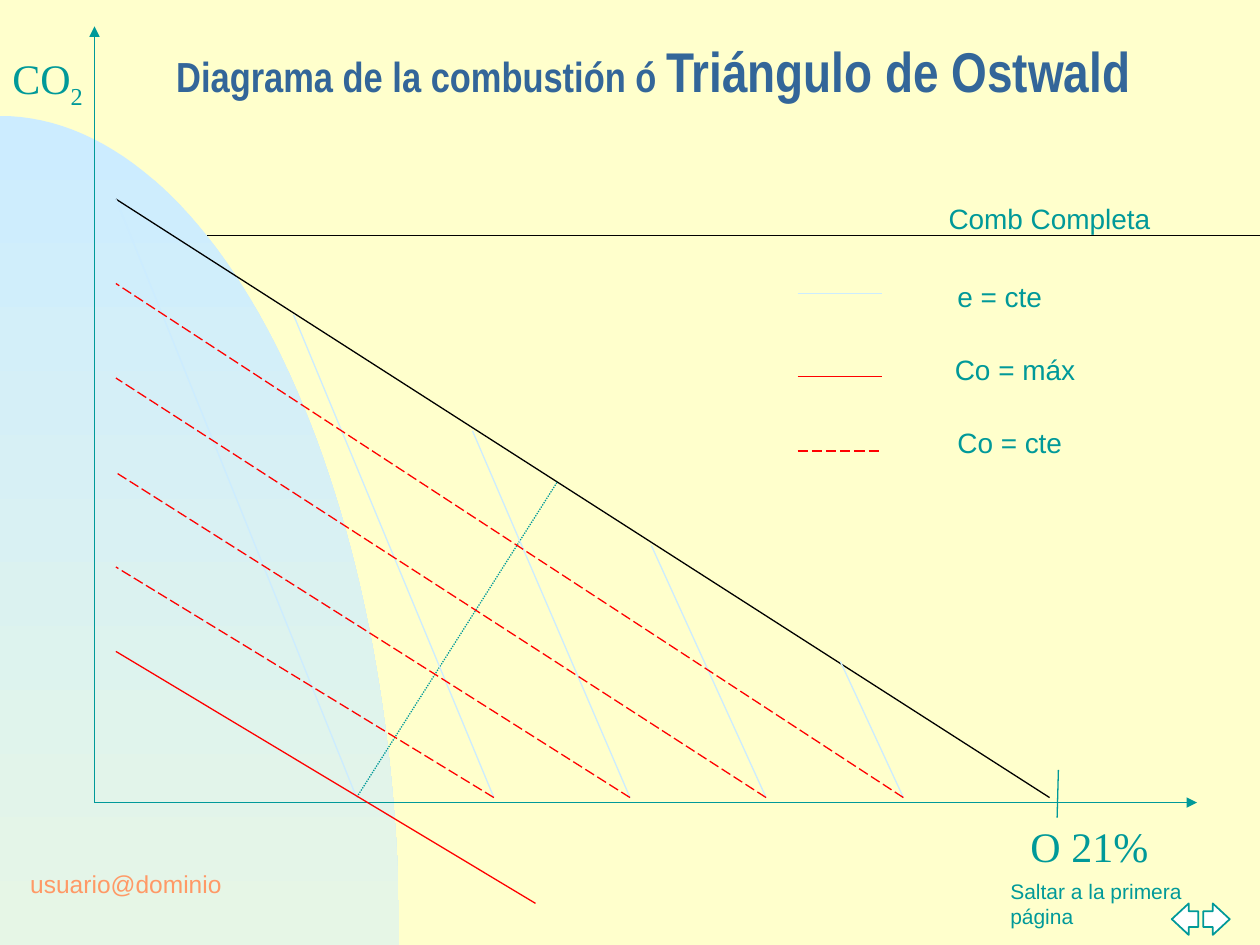
from math import cos, pi, sin

from lxml.etree import SubElement
from pptx import Presentation
from pptx.dml.color import RGBColor
from pptx.enum.dml import MSO_LINE_DASH_STYLE as DASH
from pptx.enum.shapes import MSO_CONNECTOR as CONNECTOR, MSO_SHAPE as SHAPE
from pptx.enum.text import MSO_ANCHOR as ANCHOR
from pptx.oxml.ns import qn
from pptx.util import Inches, Pt

CREAM = RGBColor(0xFF, 0xFF, 0xCC)
SKY = RGBColor(0xCC, 0xEC, 0xFF)
MINT = RGBColor(0xE6, 0xF6, 0xE6)
TEAL = RGBColor(0x00, 0x99, 0x99)
BLUE = RGBColor(0x33, 0x66, 0x99)
ORANGE = RGBColor(0xFF, 0x99, 0x66)
RED = RGBColor(0xFF, 0x00, 0x00)
BLACK = RGBColor(0x00, 0x00, 0x00)
RULE_BLACK = RGBColor(0x01, 0x00, 0x00)
WHITE = RGBColor(0xFF, 0xFF, 0xFF)


def add_line(slide, start, end, color, width=0.75, dash=None, arrow=False):
    points = [Inches(value) for value in (*start, *end)]
    connector = slide.shapes.add_connector(CONNECTOR.STRAIGHT, *points)
    connector.line.color.rgb = color
    connector.line.width = Pt(width)
    if dash:
        connector.line.dash_style = dash
    properties = connector._element.spPr
    if arrow:
        SubElement(properties.find(qn("a:ln")), qn("a:tailEnd"), type="triangle")
    SubElement(properties, qn("a:effectLst"))


def add_text(slide, box, runs, font, color, bold=False, inset=(0.1, 0.05)):
    shape = slide.shapes.add_textbox(*[Inches(value) for value in box])
    frame = shape.text_frame
    frame.word_wrap = True
    frame.margin_left = frame.margin_right = Inches(inset[0])
    frame.margin_top = frame.margin_bottom = Inches(inset[1])
    for text, size in runs:
        run = frame.paragraphs[0].add_run()
        run.text = text
        run.font.name = font
        run.font.size = Pt(size)
        run.font.bold = bold
        run.font.color.rgb = color
    return frame


def add_backdrop(slide, left, top, width, height):
    slide.background.fill.solid()
    slide.background.fill.fore_color.rgb = CREAM
    add_line(slide, (1.64, 1.87), (10, 1.87), RULE_BLACK, 1)
    steps = 60
    angles = [pi / 2 * step / steps for step in range(steps + 1)]
    bottom = top + height
    arc = [(Inches(left + width * sin(angle)), Inches(bottom - height * cos(angle)))
           for angle in angles]
    builder = slide.shapes.build_freeform(*arc[0])
    builder.add_line_segments(arc[1:] + [(Inches(left), Inches(bottom))])
    shape = builder.convert_to_shape()
    shape.shadow.inherit = False
    shape.line.fill.background()
    shape.fill.gradient()
    shape.fill.gradient_angle = 270
    for stop, color in zip(shape.fill.gradient_stops, (SKY, MINT)):
        stop.color.rgb = color


def add_footer(slide, top):
    add_text(slide, (7.92, top + 0.09, 1.67, 0.46),
             [("Saltar a la primera página", 12)], "Arial", TEAL)
    for left, kind in ((9.3, SHAPE.LEFT_ARROW), (9.55, SHAPE.RIGHT_ARROW)):
        arrow = slide.shapes.add_shape(
            kind, Inches(left), Inches(top + 0.34), Inches(0.21), Inches(0.25))
        arrow.adjustments[1] = 0.64
        arrow.shadow.inherit = False
        arrow.fill.solid()
        arrow.fill.fore_color.rgb = WHITE
        arrow.line.color.rgb = TEAL
        arrow.line.width = Pt(1)
    add_text(slide, (0.17, top, 2.4, 0.37), [("usuario@dominio", 14)],
             "Arial", ORANGE, inset=(0.07, 0.07))


def add_title(slide, box):
    frame = add_text(
        slide, box,
        [("Diagrama de la combustión ó ", 24), ("Triángulo de Ostwald", 32)],
        "Arial Narrow", BLUE, bold=True)
    frame.vertical_anchor = ANCHOR.BOTTOM
    frame.paragraphs[0].line_spacing = 0.7


def add_axes(slide, left, top, right, bottom):
    add_line(slide, (left, bottom), (left, top), TEAL, arrow=True)
    add_line(slide, (left, bottom), (right, bottom), TEAL, arrow=True)
    add_line(slide, (8.39, 6.49), (8.4, 6.11), TEAL)
    add_text(slide, (8.08, bottom + 0.09, 1.17, 0.5), [("O 21%", 24)],
             "Times New Roman", TEAL)
    frame = add_text(slide, (0, top + 0.16, 0.83, 0.56), [("CO", 24), ("2", 24)],
                     "Times New Roman", TEAL)
    frame.paragraphs[0].runs[1]._r.get_or_add_rPr().set("baseline", "-25000")


def add_triangle(slide, left, top, right, base):
    add_line(slide, (right, base), (left, top), BLACK)
    add_line(slide, (4.42, 3.83), (2.83, base), TEAL, dash=DASH.ROUND_DOT)
    add_line(slide, (left, top), (2.83, base), SKY)
    feet = (3.92, 5, 6.08, 7.17)
    excess_tops = ((2.33, 2.5), (3.75, 3.42), (5.17, 4.33), (6.67, 5.25))
    for foot, excess_top in zip(feet, excess_tops):
        add_line(slide, (foot, base), excess_top, SKY)
    add_line(slide, (4.25, 7.17), (left, 5.17), RED)
    for index, foot in enumerate(feet):
        add_line(slide, (foot, base), (left, 4.5 - 0.75 * index), RED, dash=DASH.LONG_DASH)


def add_legend(slide, left, width):
    add_text(slide, (7.43, 1.55, 1.98, 0.37), [("Comb Completa", 16)], "Arial", TEAL)
    entries = (
        ("e = cte", 7.5, 2.17, 2.33, SKY, None),
        ("Co = máx", 7.48, 2.75, 2.99, RED, None),
        ("Co = cte", 7.5, 3.33, 3.58, RED, DASH.LONG_DASH),
    )
    for label, label_left, label_top, line_top, color, dash in entries:
        add_line(slide, (left, line_top), (left + width, line_top), color, dash=dash)
        add_text(slide, (label_left, label_top, 1.35, 0.37), [(label, 16)], "Arial", TEAL)


def main():
    presentation = Presentation()
    presentation.slide_width = Inches(10)
    presentation.slide_height = Inches(7.5)
    slide = presentation.slides.add_slide(presentation.slide_layouts[6])
    add_backdrop(slide, 0, 0.92, 3.17, 6.58)
    add_footer(slide, 6.83)
    add_title(slide, (1.3, 0.21, 7.88, 0.65))
    add_axes(slide, 0.75, 0.21, 9.5, 6.37)
    add_triangle(slide, 0.92, 1.58, 8.33, 6.33)
    add_legend(slide, 6.33, 0.67)
    presentation.save("out.pptx")


if __name__ == "__main__":
    main()
